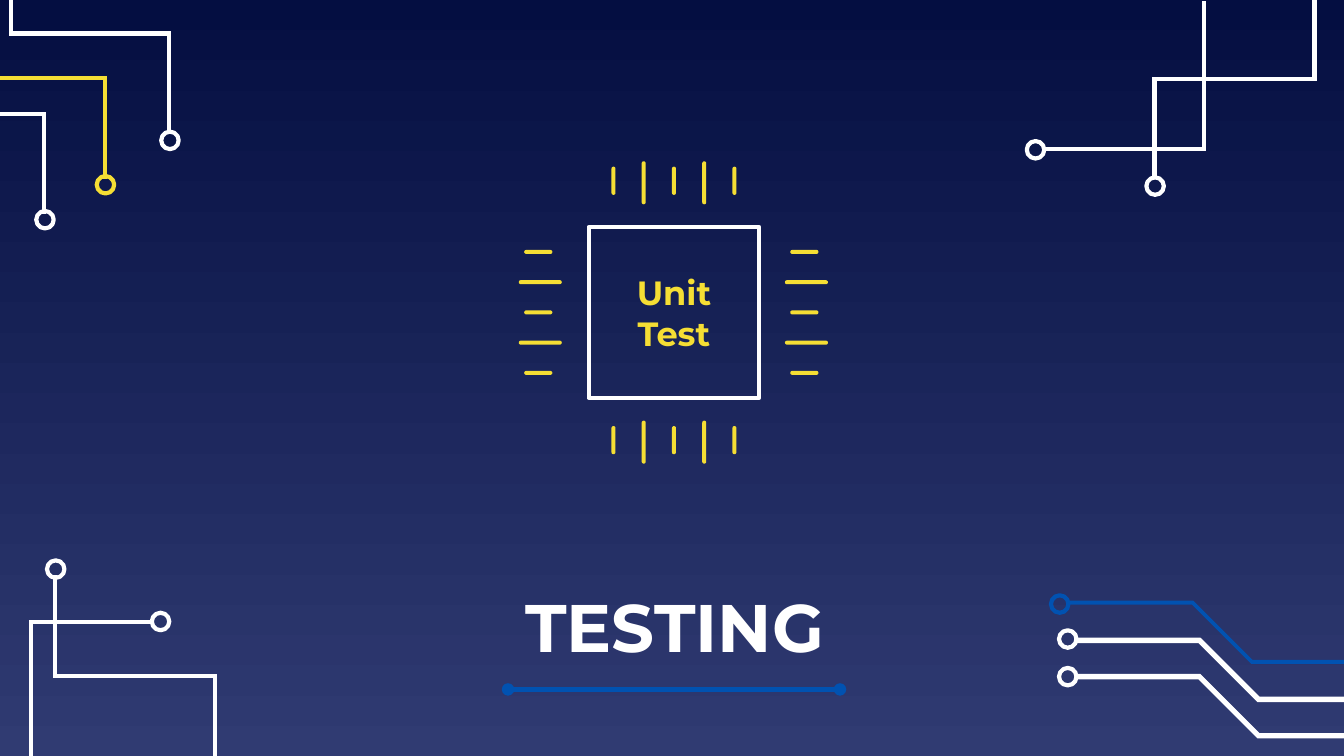
from lxml.etree import SubElement
from pptx import Presentation
from pptx.dml.color import RGBColor
from pptx.enum.shapes import MSO_CONNECTOR, MSO_SHAPE
from pptx.enum.text import MSO_ANCHOR, PP_ALIGN
from pptx.oxml.ns import qn
from pptx.util import Inches, Pt

NAVY = RGBColor(0x04, 0x0E, 0x41)
INDIGO = RGBColor(0x30, 0x3B, 0x72)
WHITE = RGBColor(0xFF, 0xFF, 0xFF)
YELLOW = RGBColor(0xF5, 0xDE, 0x34)
BLUE = RGBColor(0x01, 0x52, 0xB1)

deck = Presentation()
deck.slide_width = Inches(10)
deck.slide_height = Inches(10) * 9 // 16
page = deck.slides.add_slide(deck.slide_layouts[6])
shapes = page.shapes

backdrop = page.background.fill
backdrop.gradient()
backdrop.gradient_angle = 270
for stop, color in zip(backdrop.gradient_stops, (NAVY, INDIGO)):
    stop.color.rgb = color


def draw_path(points, closed):
    corners = [(Inches(x), Inches(y)) for x, y in points]
    builder = shapes.build_freeform(*corners[0])
    builder.add_line_segments(corners[1:], close=closed)
    path = builder.convert_to_shape()
    path.shadow.inherit = False
    return path


def write_text(shape, text, size, color):
    frame = shape.text_frame
    frame.text = text
    frame.word_wrap = True
    frame.vertical_anchor = MSO_ANCHOR.MIDDLE
    frame.margin_left = frame.margin_right = Inches(0.1)
    frame.margin_top = frame.margin_bottom = Inches(0.1)
    for para in frame.paragraphs:
        para.alignment = PP_ALIGN.CENTER
        for span in para.runs:
            span.font.name = "Montserrat"
            span.font.size = Pt(size)
            span.font.bold = True
            span.font.color.rgb = color


band = [(10.05, 4.94), (9.31, 4.94), (8.87, 4.5), (7.95, 4.5),
        (7.95, 4.47), (8.88, 4.47), (9.32, 4.91), (10.05, 4.91)]
for dx, dy, color in [(0, 0, BLUE), (0.05, 0.28, WHITE), (0.05, 0.55, WHITE)]:
    bus = draw_path([(x + dx, y + dy) for x, y in band], True)
    bus.fill.solid()
    bus.fill.fore_color.rgb = color
    if color == WHITE:
        bus.line.color.rgb = WHITE
        bus.line.width = Pt(0.75)
    else:
        bus.line.fill.background()

traces = [
    ([(0.41, 4.28), (0.41, 5.03), (1.6, 5.03), (1.6, 5.72)], WHITE),
    ([(1.13, 4.63), (0.23, 4.63), (0.23, 5.71)], WHITE),
    ([(7.75, 1.11), (8.96, 1.11), (8.96, 0.01)], WHITE),
    ([(8.59, 1.33), (8.59, 0.59), (9.78, 0.59), (9.78, -0.11)], WHITE),
    ([(0.33, 1.59), (0.33, 0.85), (-0.86, 0.85), (-0.86, 0.16)], WHITE),
    ([(0.78, 1.33), (0.78, 0.58), (-0.4, 0.58), (-0.4, -0.11)], YELLOW),
    ([(1.26, 1), (1.26, 0.25), (0.08, 0.25), (0.08, -0.43)], WHITE),
]
for points, color in traces:
    trace = draw_path(points, False)
    trace.fill.background()
    trace.line.color.rgb = color
    trace.line.width = Pt(2.25)
    SubElement(trace.element.spPr.find(qn("a:ln")), qn("a:miter"), lim="800000")

rings = [
    (7.82, 4.43, BLUE), (7.88, 4.69, WHITE), (7.88, 4.97, WHITE),
    (0.35, 4.17, WHITE), (1.13, 4.56, WHITE), (7.64, 1.05, WHITE),
    (8.53, 1.32, WHITE), (0.27, 1.57, WHITE), (0.72, 1.31, YELLOW),
    (1.2, 0.98, WHITE),
]
for left, top, color in rings:
    ring = shapes.add_shape(MSO_SHAPE.OVAL, Inches(left), Inches(top), Inches(0.13), Inches(0.13))
    ring.shadow.inherit = False
    ring.fill.background()
    ring.line.color.rgb = color
    ring.line.width = Pt(2.25)

title = shapes.add_textbox(Inches(2.15), Inches(4.32), Inches(5.74), Inches(0.67))
write_text(title, "TESTING", 36, WHITE)

underline = shapes.add_connector(MSO_CONNECTOR.STRAIGHT, Inches(3.78), Inches(5.13), Inches(6.25), Inches(5.13))
underline.line.color.rgb = BLUE
underline.line.width = Pt(2.25)
underline_props = underline.element.spPr
for end in ("a:headEnd", "a:tailEnd"):
    SubElement(underline_props.find(qn("a:ln")), qn(end), type="oval")
SubElement(underline_props, qn("a:effectLst"))

chip = shapes.add_shape(MSO_SHAPE.RECTANGLE, Inches(4.38), Inches(1.69), Inches(1.27), Inches(1.27))
chip.shadow.inherit = False
chip.fill.background()
chip.line.color.rgb = WHITE
chip.line.width = Pt(2.25)
write_text(chip, "Unit\nTest", 18, YELLOW)

for edge, first, upright in [(3.86, 1.86, False), (5.84, 1.86, False), (1.2, 4.55, True), (3.13, 4.55, True)]:
    for index in range(5):
        inset, length = (0.04, 0.21) if index % 2 == 0 else (0, 0.32)
        along, across = edge + inset, first + 0.9 * index / 4
        bounds = (across, along, 0.03, length) if upright else (along, across, length, 0.03)
        pin = shapes.add_shape(MSO_SHAPE.ROUNDED_RECTANGLE, *[Inches(value) for value in bounds])
        pin.adjustments[0] = 0.5
        pin.shadow.inherit = False
        pin.fill.solid()
        pin.fill.fore_color.rgb = YELLOW
        pin.line.fill.background()

deck.save("out.pptx")
